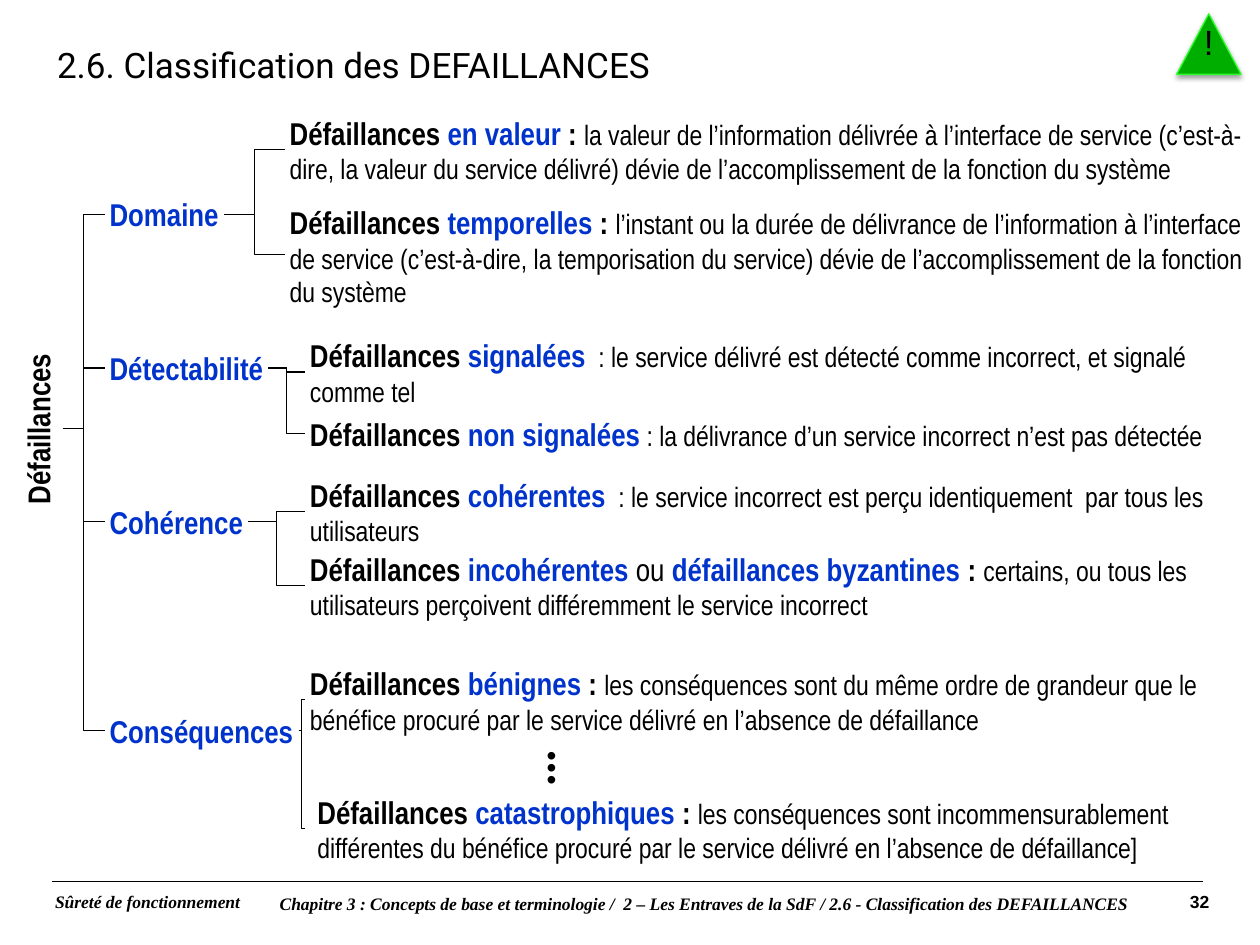
import pptx
import pptx.util
import pptx.dml.color
import pptx.enum.shapes
import pptx.enum.text
import pptx.oxml
import pptx.oxml.ns

Cm, Pt = pptx.util.Cm, pptx.util.Pt
RGBColor = pptx.dml.color.RGBColor
SHAPE = pptx.enum.shapes.MSO_SHAPE
CONNECTOR = pptx.enum.shapes.MSO_CONNECTOR
ALIGN = pptx.enum.text.PP_ALIGN
ANCHOR = pptx.enum.text.MSO_ANCHOR
AUTO_SIZE = pptx.enum.text.MSO_AUTO_SIZE
qn = pptx.oxml.ns.qn
NS = pptx.oxml.ns.nsdecls("a")

BLACK = RGBColor(0x00, 0x00, 0x00)
BLUE = RGBColor(0x00, 0x33, 0xCC)
GREEN = RGBColor(0x00, 0xAE, 0x00)
LIME = RGBColor(0x2B, 0xFF, 0x2B)

HEAD = (18, BLACK, True)
TERM = (18, BLUE, True)
LINK = (18, BLACK, False)
GAP = (16, BLACK, True)
BODY = (16, BLACK, False)

LABEL_H = 1.02
TREE_X, TREE_W = 2.11, 23.29

BRANCHES = [
    (2.16, "Domaine", 1.65, 2.41, 3.63, [
        (0, 1.7, 0.1, [("en valeur", TERM), (" : ", HEAD), (
            "la valeur de l’information délivrée à l’interface de service (c’est-à-dire, la valeur "
            "du service délivré) dévie de l’accomplissement de la fonction du système", BODY)]),
        (1.81, 2.31, 0.1, [("temporelles", TERM), (" : ", HEAD), (
            "l’instant ou la durée de délivrance de l’information à l’interface de service "
            "(c’est-à-dire, la temporisation du service) dévie de l’accomplissement de la "
            "fonction du système", BODY)])]),
    (6.65, "Détectabilité", 0.26, 3.3, 4.04, [
        (0, 1.7, 0.1, [("signalées", TERM), (" ", GAP), (
            " : le service délivré est détecté comme incorrect, et signalé comme tel", BODY)]),
        (1.58, 1.02, 0.1, [("non signalées", TERM), (" ", GAP), (
            ": la délivrance d’un service incorrect n’est pas détectée", BODY)])]),
    (9.47, "Cohérence", 0.54, 2.9, 4.04, [
        (0, 1.7, 0.1, [("cohérentes", TERM), (" ", GAP), (
            " : le service incorrect est perçu identiquement  par tous les utilisateurs", BODY)]),
        (1.48, 1.7, 0.1, [
            ("incohérentes ", TERM), ("ou ", LINK), ("défaillances byzantines", TERM), (" : ", HEAD), (
                "certains, ou tous les utilisateurs perçoivent différemment le service incorrect",
                BODY)])]),
    (13.26, "Conséquences", 0.96, 3.91, 4.04, [
        (0, 1.7, 0.1, [("bénignes", TERM), (" : ", HEAD), (
            "les conséquences sont du même ordre de grandeur que le bénéfice procuré par le "
            "service délivré en l’absence de défaillance", BODY)]),
        (2.59, 1.7, 0.25, [("catastrophiques", TERM), (" : ", HEAD), (
            "les conséquences sont incommensurablement différentes du bénéfice procuré par le "
            "service délivré en l’absence de défaillance]", BODY)])]),
]


def style(r, font, size, color=BLACK, bold=False, italic=False):
    r.font.name, r.font.size = font, Pt(size)
    r.font.bold, r.font.italic = bold, italic
    r.font.color.rgb = color


def add_text(slide, x, y, w, h, runs, font="Arial Narrow", inset=0.1, wrap=False, italic=False):
    sp = slide.shapes.add_textbox(Cm(x), Cm(y), Cm(w), Cm(h))
    tf = sp.text_frame
    tf.word_wrap = wrap
    tf.margin_left = tf.margin_right = Cm(inset)
    tf.margin_top = tf.margin_bottom = Cm(0.13)
    for text, (size, color, bold) in runs:
        r = tf.paragraphs[0].add_run()
        r.text = text
        style(r, font, size, color, bold, italic)
    return sp


def add_line(slide, kind, x1, y1, x2, y2, width=0.75):
    line = slide.shapes.add_connector(kind, Cm(x1), Cm(y1), Cm(x2), Cm(y2))
    line.line.color.rgb = BLACK
    line.line.width = Pt(width)
    line._element.spPr.append(pptx.oxml.parse_xml(f"<a:effectLst {NS}/>"))


def add_title(slide, x, y, w, h):
    sp = slide.shapes.title
    sp.left, sp.top, sp.width, sp.height = Cm(x), Cm(y), Cm(w), Cm(h)
    tf = sp.text_frame
    tf.text = "2.6. Classification des DEFAILLANCES"
    tf.auto_size = AUTO_SIZE.NONE
    tf.vertical_anchor = ANCHOR.MIDDLE
    tf.margin_left = Cm(0.36)
    tf.margin_right = tf.margin_top = tf.margin_bottom = Cm(0.03)
    p = tf.paragraphs[0]
    p.alignment = ALIGN.LEFT
    style(p.runs[0], "Roboto", 20)


def add_branch(slide, x, y, w, root, label, label_y, label_w, child_x, children):
    mid = y + label_y + LABEL_H / 2
    add_line(slide, CONNECTOR.ELBOW, *root, x, mid)
    add_text(slide, x, y + label_y, label_w, LABEL_H, [(label, TERM)])
    for child_y, h, inset, runs in children:
        add_text(slide, x + child_x, y + child_y, w - child_x, h,
                 [("Défaillances ", HEAD)] + runs, inset=inset, wrap=True)
        add_line(slide, CONNECTOR.ELBOW, x + label_w, mid, x + child_x, y + child_y + h / 2)


def add_tree(slide, x, w):
    root_y, root_w = 8.64, 3.56
    root = add_text(slide, -1.02, root_y - LABEL_H / 2, root_w, LABEL_H,
                    [("Défaillances", HEAD)], inset=0.25)
    root.rotation = 270
    for y, *branch in BRANCHES:
        add_branch(slide, x, y, w, (1.27, root_y), *branch)


def add_ellipsis(slide, x, y, w, h):
    for i in range(3):
        add_text(slide, x, y + i * 0.25, w, h, [("•", BODY)], font="Arial", inset=0.25)


def add_warning(slide, x, y, w, h):
    sp = slide.shapes.add_shape(SHAPE.TRAPEZOID, Cm(x), Cm(y), Cm(w), Cm(h))
    sp.adjustments[0] = w / h / 2
    sp.fill.solid()
    sp.fill.fore_color.rgb = GREEN
    sp.line.color.rgb = LIME
    sp.line.width = Pt(0.75)
    sp._element.spPr.append(pptx.oxml.parse_xml(
        f'<a:effectLst {NS}><a:outerShdw blurRad="{Pt(3.1)}" dist="{Pt(1.6)}" dir="5400000" '
        'rotWithShape="0"><a:srgbClr val="000000"><a:alpha val="38000"/></a:srgbClr>'
        '</a:outerShdw></a:effectLst>'))
    mark = add_text(slide, x, y, w, h, [("!", (20, BLACK, False))], font="Arial", wrap=True)
    tf = mark.text_frame
    tf.margin_top = tf.margin_bottom = Cm(0.08)
    tf.vertical_anchor = ANCHOR.MIDDLE
    p = tf.paragraphs[0]
    p.alignment = ALIGN.CENTER
    p.line_spacing = 0.9
    p.space_after = Pt(7)


def add_footer(slide, x, y, w, h):
    add_line(slide, CONNECTOR.STRAIGHT, x + 0.18, y + 0.02, x + 23.4, y + 0.02, 1)
    sp = add_text(slide, x, y, w, h, [("Sûreté de fonctionnement", (10, BLACK, True)),
                                      ("\t", (14, BLACK, True)), ("32", (10, BLACK, True))],
                  font="Times New Roman", inset=0.25, wrap=True, italic=True)
    p = sp.text_frame.paragraphs[0]
    p.line_spacing = 0.9
    p._p.get_or_add_pPr().append(pptx.oxml.parse_xml(
        f'<a:tabLst {NS}><a:tab pos="{Cm(23.27)}" algn="r"/></a:tabLst>'))
    for r in p.runs[1:]:
        r.font.name, r.font.italic = "Arial", False
    chapter = add_text(slide, x + 4.6, y + 0.13, 17.37, 0.64, [(
        "Chapitre 3 : Concepts de base et terminologie /  2 – Les Entraves de la SdF / "
        "2.6 - Classification des DEFAILLANCES", (10, BLACK, True))],
        font="Times New Roman", italic=True)
    chapter.text_frame.paragraphs[0].alignment = ALIGN.RIGHT


def main():
    prs = pptx.Presentation()
    prs.slide_width, prs.slide_height = Cm(25.4), Cm(19.05)
    slide = prs.slides.add_slide(prs.slide_layouts[5])
    add_footer(slide, 0.86, 17.75, 24.16, 0.79)
    add_title(slide, 0.79, 0.84, 24.43, 0.91)
    add_tree(slide, TREE_X, TREE_W)
    add_ellipsis(slide, 10.77, 14.73, 0.71, 0.94)
    add_warning(slide, 23.72, 0.28, 1.3, 1.22)
    prs.save("out.pptx")


if __name__ == "__main__":
    main()
